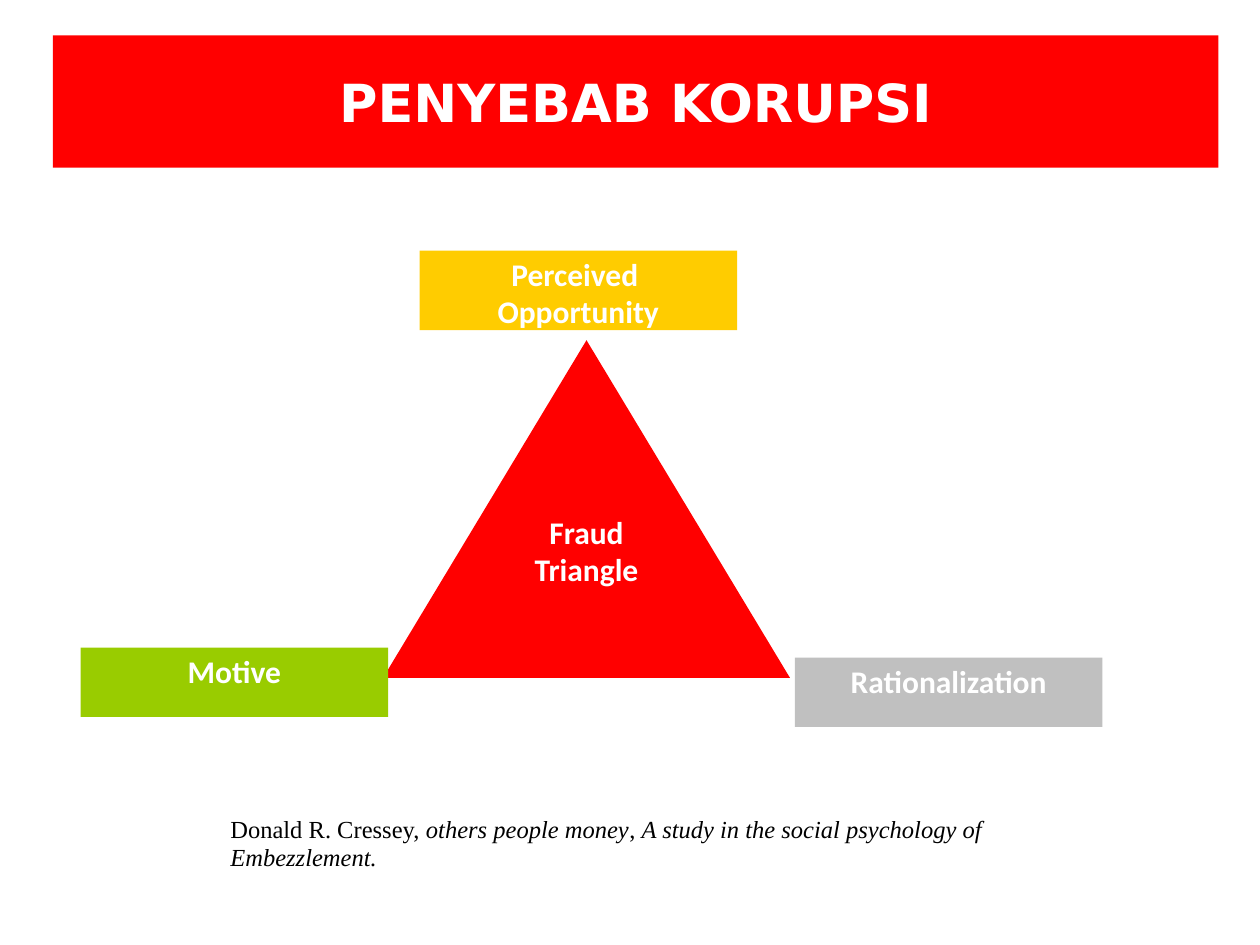
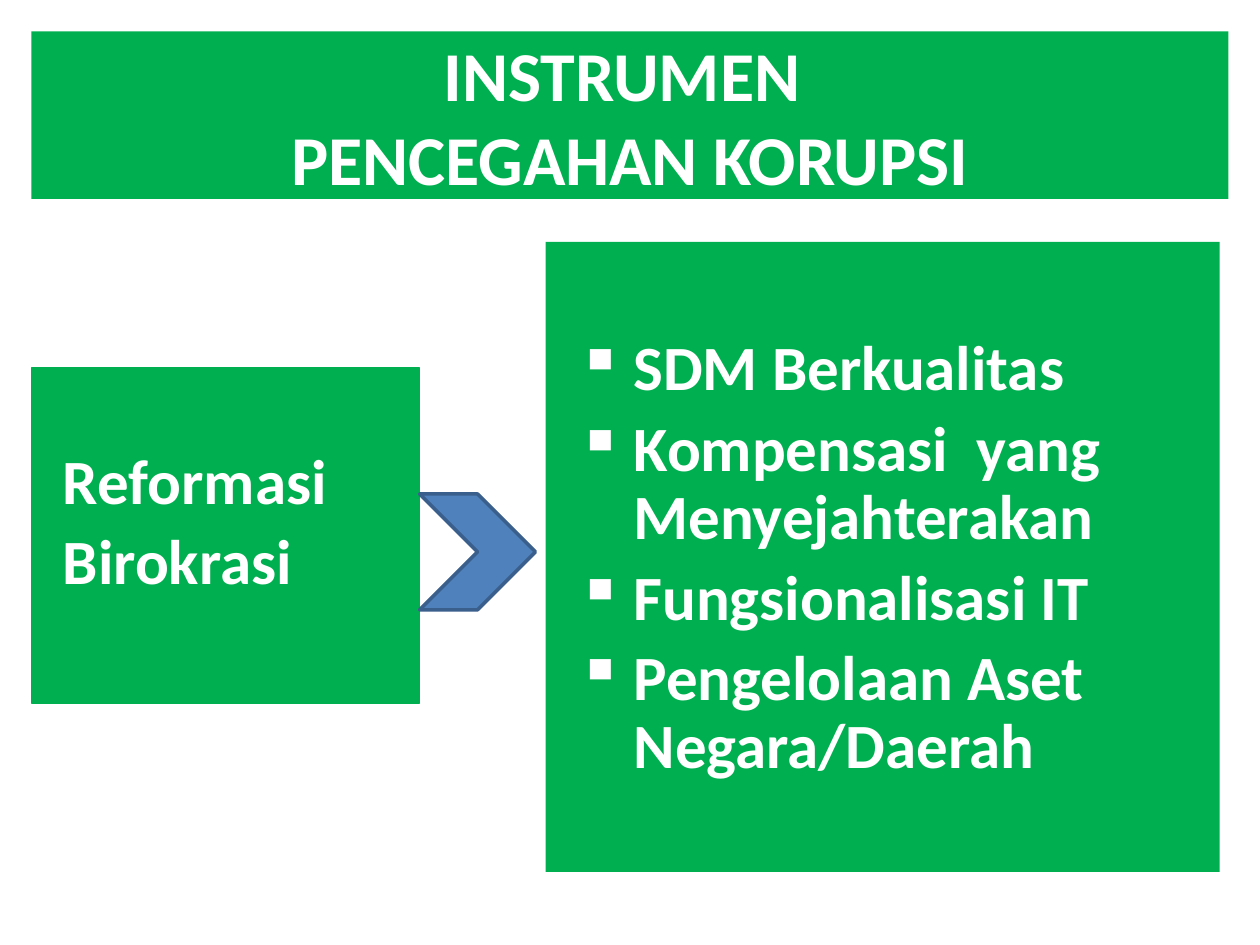
import pptx
import pptx.util
import pptx.dml.color
import pptx.enum.shapes
import pptx.enum.text
import pptx.oxml.ns
import lxml.etree

Inches, Pt = pptx.util.Inches, pptx.util.Pt
KIND = pptx.enum.shapes.MSO_SHAPE
ALIGN = pptx.enum.text.PP_ALIGN
ANCHOR = pptx.enum.text.MSO_ANCHOR

HUES = {
    "white": "FFFFFF", "black": "000000", "red": "FF0000", "gold": "FFCC00",
    "lime": "99CC00", "gray": "C0C0C0", "green": "00B050",
    "blue": "4F81BD", "navy": "3A5F8C",
}
HEAD = {"name": "DejaVu Sans", "size": Pt(30), "bold": True}
TITLE = {"name": "Calibri", "size": Pt(40), "bold": True}
LABEL = {"name": "Calibri", "size": Pt(18), "bold": True}
BODY = {"name": "Calibri", "size": Pt(36), "bold": True}
CITE = {"name": "Times New Roman", "size": Pt(14)}
MID = {"alignment": ALIGN.CENTER}
SNUG = {"alignment": ALIGN.CENTER, "line_spacing": 0.98}
LIST = {"alignment": ALIGN.LEFT, "line_spacing": 0.9}


def tint(hue):
    """Return the named colour."""
    return pptx.dml.color.RGBColor.from_string(HUES[hue])


def assign(item, form):
    """Set attributes from a dict of format values."""
    for key, value in form.items():
        setattr(item, key, value)


def style(run, font, hue="white"):
    """Give a run its font and colour."""
    assign(run.font, font)
    run.font.color.rgb = tint(hue)


def block(slide, box, fill, kind=KIND.RECTANGLE, edge=None, width=0.75):
    """Draw a filled shape in the box."""
    shape = slide.shapes.add_shape(kind, *map(Inches, box))
    shape.shadow.inherit = False
    shape.fill.solid()
    shape.fill.fore_color.rgb = tint(fill)
    if edge:
        shape.line.color.rgb = tint(edge)
        shape.line.width = Pt(width)
    else:
        shape.line.fill.background()
    return shape


def write(shape, lines, font, form, anchor=ANCHOR.TOP, top=0.05):
    """Write one paragraph for each line and return them."""
    frame = shape.text_frame
    assign(frame, {"word_wrap": True, "vertical_anchor": anchor,
                   "margin_top": Inches(top)})
    paras = []
    for line in lines:
        para = frame.add_paragraph() if paras else frame.paragraphs[0]
        para.text = line
        assign(para, form)
        for run in para.runs:
            style(run, font)
        paras.append(para)
    return paras


def band(slide, box, text, fill, font):
    """Draw the title band."""
    write(block(slide, box, fill), [text], font, MID, ANCHOR.MIDDLE)


def fraud(slide, box):
    """Draw the fraud triangle with a label at each corner."""
    x, y, wide, high = box
    parts = [
        ((x, y, wide, high), "red", KIND.ISOSCELES_TRIANGLE, ["Fraud", "Triangle"]),
        ((x + 0.29, y - 0.71, 2.52, 0.63), "gold", KIND.RECTANGLE,
         ["Perceived ", "Opportunity"]),
        ((x - 2.4, y + high - 0.24, 2.44, 0.55), "lime", KIND.RECTANGLE, ["Motive"]),
        ((x + wide + 0.04, y + high - 0.16, 2.44, 0.55), "gray", KIND.RECTANGLE,
         ["Rationalization"]),
    ]
    for place, fill, kind, lines in parts:
        write(block(slide, place, fill, kind), lines, LABEL, SNUG)


def cite(slide, box):
    """Write the source of the triangle."""
    frame = slide.shapes.add_textbox(*map(Inches, box)).text_frame
    assign(frame, {"word_wrap": True, "margin_top": Inches(0.08)})
    para = frame.paragraphs[0]
    para.line_spacing = 0.95
    texts = ["Donald R. Cressey, ", "others people money", ", ",
             "A study in the social psychology of Embezzlement."]
    for place, text in enumerate(texts):
        run = para.add_run()
        run.text = text
        style(run, {**CITE, "italic": place % 2 == 1}, "black")


def panel(slide, box, lines, top, edge=None, mark=None):
    """Draw a green panel of hanging lines, with bullets if a mark is given."""
    shape = block(slide, box, "green", edge=edge)
    for place, para in enumerate(write(shape, lines, BODY, LIST, top=top)):
        if place:
            para.space_before = Pt(7.2)
        props = para._p.get_or_add_pPr()
        props.set("marL", str(Inches(0.6)))
        props.set("indent", str(Inches(-0.45)))
        if mark:
            bullet = lxml.etree.SubElement(props, pptx.oxml.ns.qn("a:buChar"))
            bullet.set("char", mark)


def reform(slide, box):
    """Draw the reform panel, the chevron and the list of tools."""
    x, y, wide, high = box
    panel(slide, (x, y + 1, 3.08, 2.66), ["Reformasi", "Birokrasi"], 0.65, "green")
    tools = ["SDM Berkualitas", "Kompensasi  yang Menyejahterakan",
             "Fungsionalisasi IT", "Pengelolaan Aset Negara/Daerah"]
    panel(slide, (x + wide - 5.35, y, 5.35, high), tools, 0.75, mark="▪")
    block(slide, (x + 3.08, y + 2, 0.92, 0.92), "blue", KIND.CHEVRON, "navy", 2)


def main():
    """Build both slides and save them."""
    deck = pptx.Presentation()
    assign(deck, {"slide_width": Inches(10), "slide_height": Inches(7.5)})
    cause, tools = [deck.slides.add_slide(deck.slide_layouts[6]) for _ in range(2)]
    band(cause, (0.42, 0.28, 9.25, 1.05), "PENYEBAB KORUPSI", "red", HEAD)
    fraud(cause, (3.04, 2.7, 3.23, 2.68))
    cite(cause, (1.73, 6.4, 6.83, 0.57))
    band(tools, (0.25, 0.25, 9.5, 1.33), "INSTRUMEN \nPENCEGAHAN KORUPSI", "green", TITLE)
    reform(tools, (0.25, 1.92, 9.43, 5))
    deck.save("out.pptx")


if __name__ == "__main__":
    main()
